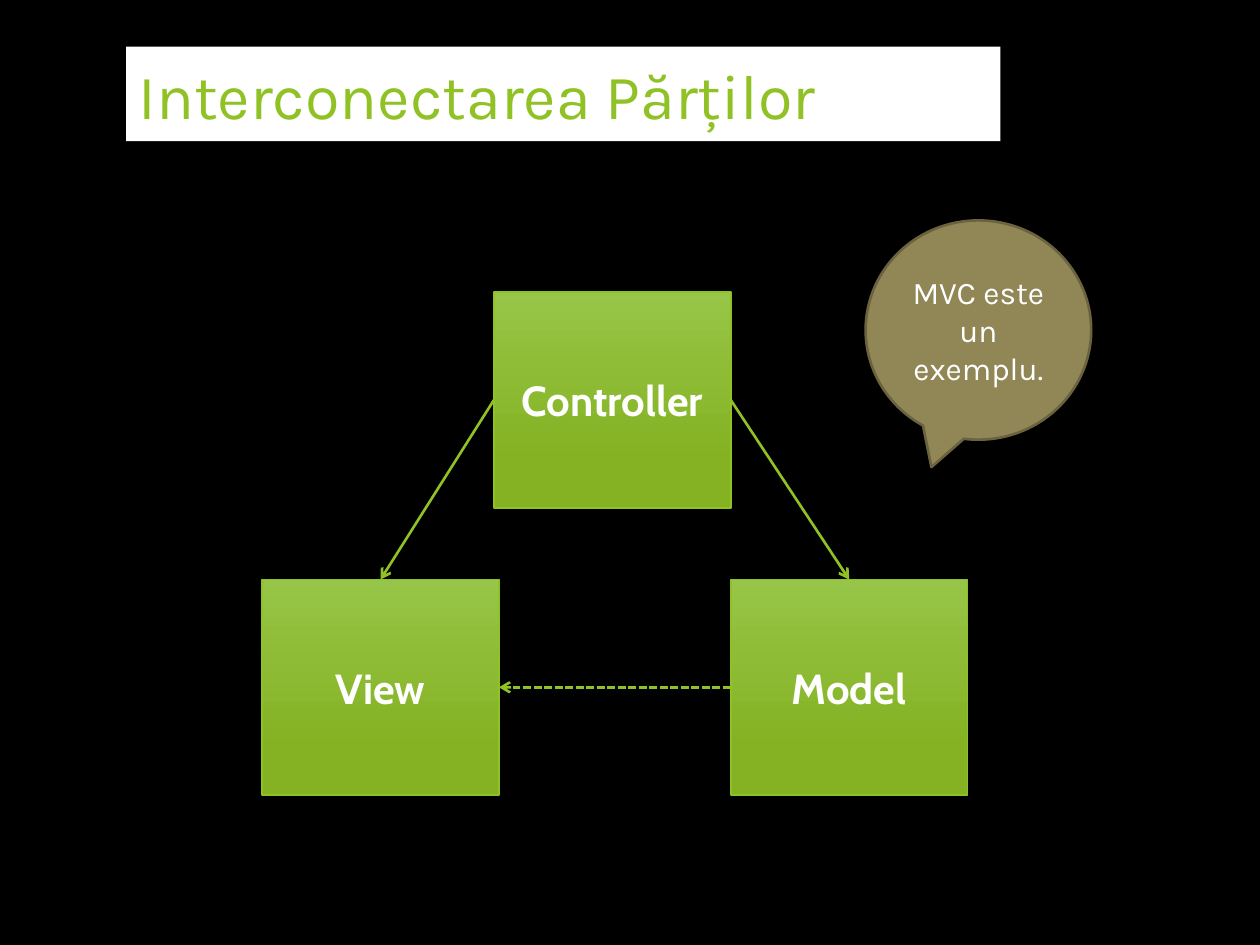
from dataclasses import dataclass

from lxml.etree import SubElement
from pptx import Presentation
from pptx.dml.color import RGBColor
from pptx.enum.dml import MSO_LINE
from pptx.enum.shapes import MSO_CONNECTOR, MSO_SHAPE as SHAPE
from pptx.enum.text import MSO_ANCHOR as ANCHOR, MSO_AUTO_SIZE, PP_ALIGN as ALIGN
from pptx.oxml.ns import qn
from pptx.util import Inches, Pt


@dataclass(frozen=True)
class Theme:
    """Colours, fonts and type sizes of the slide."""
    background: str = "000000"
    white: str = "FFFFFF"
    green: str = "90C226"
    box_top: str = "97C547"
    box_bottom: str = "84B223"
    callout: str = "918655"
    callout_line: str = "6B633F"
    body_font: str = "Karla"
    box_font: str = "Cabin"
    title_size: int = 36
    box_size: int = 24
    callout_size: int = 18


@dataclass(frozen=True)
class Box:
    """One part of the pattern and its top left corner in inches."""
    name: str
    left: float
    top: float


@dataclass(frozen=True)
class Link:
    """An arrow between sides of two boxes."""
    start: str
    start_side: int
    end: str
    end_side: int
    dashed: bool = False


THEME = Theme()
BOX_WIDTH, BOX_HEIGHT = 1.88, 1.71
TOP, LEFT, RIGHT = 0, 1, 3
BOXES = [Box("Model", 5.8, 4.6), Box("View", 2.08, 4.6), Box("Controller", 3.92, 2.32)]
LINKS = [
    Link("Controller", RIGHT, "Model", TOP),
    Link("Controller", LEFT, "View", TOP),
    Link("Model", LEFT, "View", RIGHT, dashed=True),
]


def rgb(value: str) -> RGBColor:
    """Turn a hex string into a colour."""
    return RGBColor.from_string(value)


def paint(fill, color: str) -> None:
    """Make a fill solid."""
    fill.solid()
    fill.fore_color.rgb = rgb(color)


def outline(line, color: str, width: float) -> None:
    """Set the colour and width of a line."""
    paint(line.fill, color)
    line.width = Pt(width)


def write(sp, text: str, color: str, align=ALIGN.CENTER, **font) -> None:
    """Write one formatted paragraph, vertically centred, into a shape."""
    tf = sp.text_frame
    frame = {"word_wrap": True, "auto_size": MSO_AUTO_SIZE.NONE,
             "vertical_anchor": ANCHOR.MIDDLE}
    for key, value in frame.items():
        setattr(tf, key, value)
    p = tf.paragraphs[0]
    p.alignment = align
    r = p.add_run()
    r.text = text
    for key, value in font.items():
        setattr(r.font, key, value)
    r.font.color.rgb = rgb(color)


def add_title(slide, text: str) -> None:
    """Place and format the title placeholder."""
    sp = slide.shapes.title
    place = {"left": 1, "top": 0.37, "width": 6.94, "height": 0.75}
    for key, value in place.items():
        setattr(sp, key, Inches(value))
    paint(sp.fill, THEME.white)
    write(sp, text, THEME.green, ALIGN.LEFT,
          name=THEME.body_font, size=Pt(THEME.title_size))


def add_box(slide, box: Box):
    """Draw a gradient box with its name."""
    sp = slide.shapes.add_shape(SHAPE.RECTANGLE, Inches(box.left), Inches(box.top),
                                Inches(BOX_WIDTH), Inches(BOX_HEIGHT))
    sp.shadow.inherit = False
    sp.fill.gradient()
    sp.fill.gradient_angle = 270
    stops = [(0, THEME.box_top), (0.78, THEME.box_bottom)]
    for stop, (position, color) in zip(sp.fill.gradient_stops, stops):
        stop.position = position
        stop.color.rgb = rgb(color)
    outline(sp.line, THEME.green, 1)
    write(sp, box.name, THEME.white,
          name=THEME.box_font, size=Pt(THEME.box_size), bold=True)
    return sp


def add_link(slide, link: Link, shapes: dict) -> None:
    """Draw an arrow glued to two boxes."""
    arrow = slide.shapes.add_connector(MSO_CONNECTOR.STRAIGHT, 0, 0, 0, 0)
    arrow.begin_connect(shapes[link.start], link.start_side)
    arrow.end_connect(shapes[link.end], link.end_side)
    outline(arrow.line, THEME.green, 1.5)
    if link.dashed:
        arrow.line.dash_style = MSO_LINE.SQUARE_DOT
    SubElement(arrow.line.fill._xPr, qn("a:tailEnd"), type="arrow")
    SubElement(arrow._element.spPr, qn("a:effectLst"))


def add_callout(slide, text: str) -> None:
    """Draw the speech bubble."""
    sp = slide.shapes.add_shape(SHAPE.OVAL_CALLOUT, Inches(6.87), Inches(1.75),
                                Inches(1.79), Inches(1.74))
    sp.shadow.inherit = False
    paint(sp.fill, THEME.callout)
    outline(sp.line, THEME.callout_line, 1.5)
    write(sp, text, THEME.white, name=THEME.body_font, size=Pt(THEME.callout_size))


def main() -> None:
    """Build and save the slide."""
    prs = Presentation()
    prs.slide_width, prs.slide_height = Inches(10), Inches(7.5)
    slide = prs.slides.add_slide(prs.slide_layouts[5])
    paint(slide.background.fill, THEME.background)
    add_title(slide, "Interconectarea Părților")
    shapes = {box.name: add_box(slide, box) for box in BOXES}
    for link in LINKS:
        add_link(slide, link, shapes)
    add_callout(slide, "MVC este un exemplu.")
    prs.save("out.pptx")


main()
